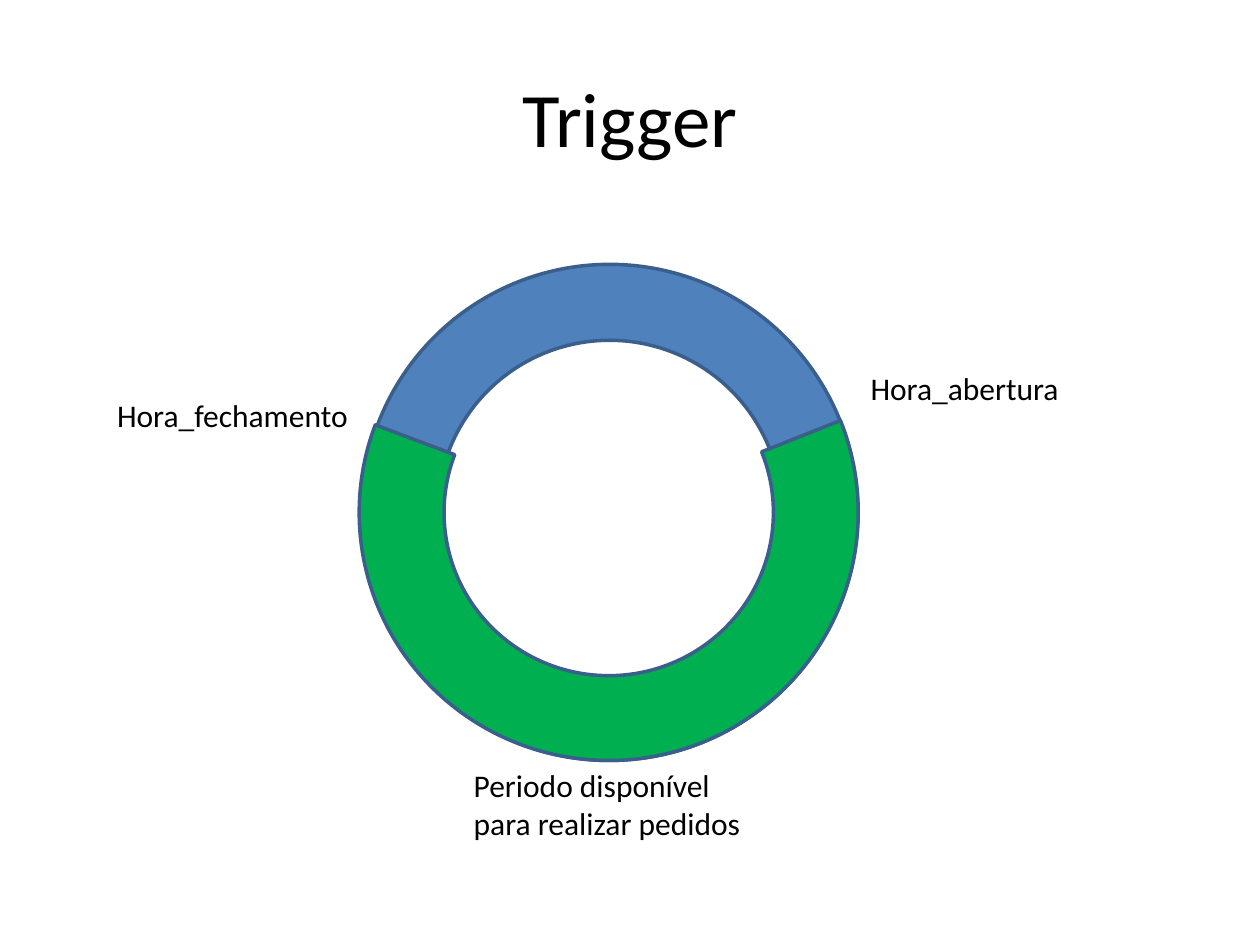
from pptx import Presentation
from pptx.dml.color import RGBColor
from pptx.enum.shapes import MSO_SHAPE
from pptx.enum.text import MSO_ANCHOR, MSO_AUTO_SIZE, PP_ALIGN
from pptx.util import Cm, Pt

BLACK = RGBColor(0x00, 0x00, 0x00)
BLUE = RGBColor(0x4F, 0x81, 0xBD)
GREEN = RGBColor(0x00, 0xB0, 0x50)
OUTLINE = RGBColor(0x3A, 0x5F, 0x8C)
FONT = "Calibri"
LABEL_WIDTH = 6
RING_TOP = 5.33
RING_HEIGHT = 10


def add_run(paragraph, wording, size):
    run = paragraph.add_run()
    run.text = wording
    run.font.name = FONT
    run.font.size = Pt(size)
    run.font.color.rgb = BLACK


def set_title(slide, wording):
    title = slide.shapes.title
    title.left, title.top = Cm(1.27), Cm(0.76)
    title.width, title.height = Cm(22.86), Cm(3.18)
    title.text_frame.vertical_anchor = MSO_ANCHOR.MIDDLE
    heading = title.text_frame.paragraphs[0]
    heading.alignment = PP_ALIGN.CENTER
    add_run(heading, wording, 44)


def add_period(slide, preset, left, width, color, adjustments, rotation=0):
    period = slide.shapes.add_shape(
        preset, Cm(left), Cm(RING_TOP), Cm(width), Cm(RING_HEIGHT))
    for index, adjustment in enumerate(adjustments):
        period.adjustments[index] = adjustment
    period.rotation = rotation
    period.shadow.inherit = False
    period.fill.solid()
    period.fill.fore_color.rgb = color
    period.line.color.rgb = OUTLINE
    period.line.width = Pt(2)


def add_label(slide, wording, left, top, height=1.03):
    label = slide.shapes.add_textbox(
        Cm(left), Cm(top), Cm(LABEL_WIDTH), Cm(height))
    label.text_frame.word_wrap = True
    label.text_frame.auto_size = MSO_AUTO_SIZE.SHAPE_TO_FIT_TEXT
    add_run(label.text_frame.paragraphs[0], wording, 18)


def main():
    presentation = Presentation()
    presentation.slide_width = Cm(25.4)
    presentation.slide_height = Cm(19.05)
    slide = presentation.slides.add_slide(presentation.slide_layouts[5])

    set_title(slide, "Trigger")
    add_period(slide, MSO_SHAPE.DONUT, 7.29, 10, BLUE, [0.153])
    add_period(slide, MSO_SHAPE.BLOCK_ARC, 7.24, 10.06, GREEN,
               [95.01, 12.34, 0.171], rotation=180)
    add_label(slide, "Hora_abertura", 17.3, 7.32)
    add_label(slide, "Hora_fechamento", 2.11, 7.85)
    add_label(slide, "Periodo disponível para realizar pedidos", 9.3, 15.32, 1.8)

    presentation.save("out.pptx")


if __name__ == "__main__":
    main()
